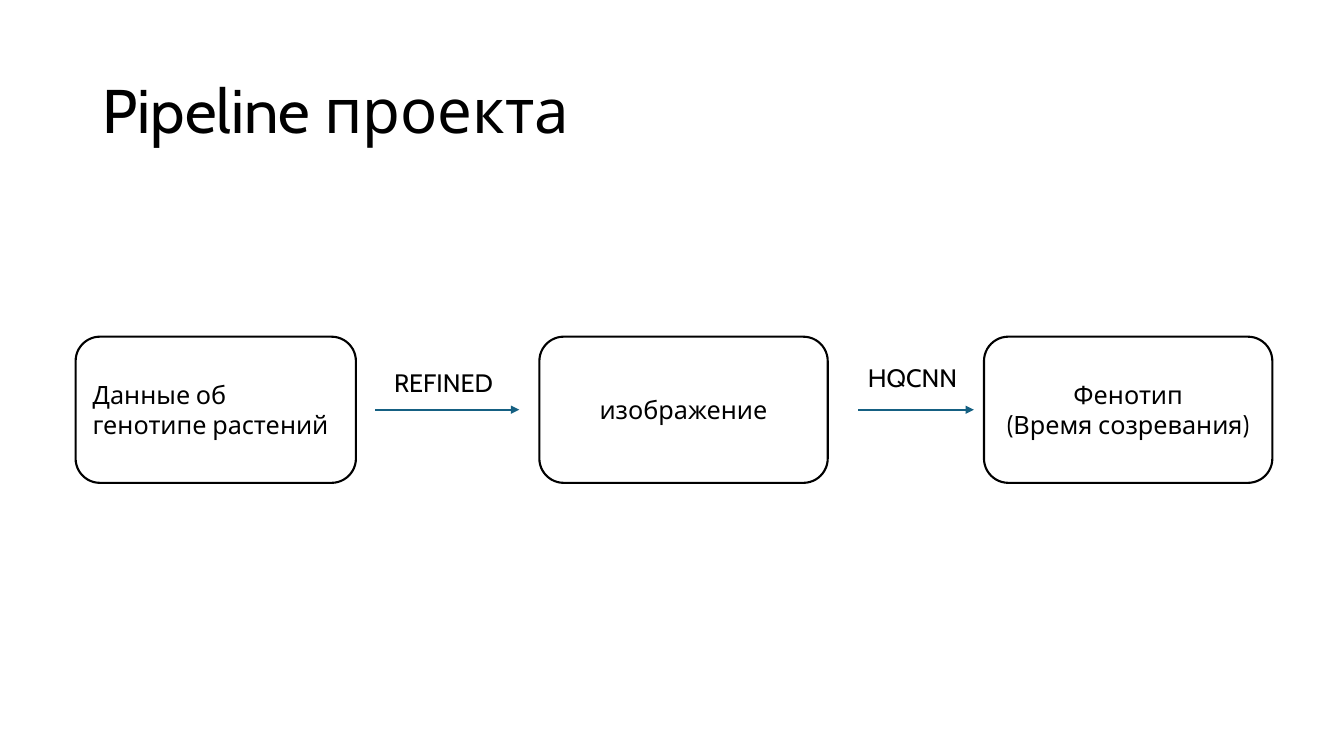
"""Build the project pipeline slide: three boxes joined by labelled arrows."""
from dataclasses import dataclass

from lxml import etree
from pptx import Presentation
from pptx.dml.color import RGBColor
from pptx.enum import shapes, text
from pptx.oxml import ns
from pptx.util import Inches, Pt


@dataclass(frozen=True)
class Theme:
    font: str = "Cabin"
    ink: str = "000000"
    paper: str = "FFFFFF"
    arrow: str = "156082"
    head: int = 44
    body: int = 18
    line: float = 1.5


LOOK = Theme()
SIZE = (13.33, 7.5)
TITLE = "Pipeline проекта"
LEFT, MID = text.PP_ALIGN.LEFT, text.PP_ALIGN.CENTER
TOP, TALL = 3.34, 1.45
AXIS = TOP + TALL / 2
STEPS = [
    (0.75, 2.78, LEFT, ["Данные об генотипе растений"]),
    (5.35, 2.86, MID, ["изображение"]),
    (9.76, 2.86, MID, ["Фенотип", "(Время созревания)"]),
]
LINKS = [
    (3.72, 5.15, "REFINED", 3.81, 3.59, 2.02),
    (8.51, 9.66, "HQCNN", 8.51, 3.55, 1.53),
]


def paint(hue):
    return RGBColor.from_string(hue)


def place(*nums):
    return [Inches(n) for n in nums]


def write(shape, lines, size=LOOK.body, align=LEFT,
          anchor=text.MSO_ANCHOR.MIDDLE, space=1.0):
    frame = shape.text_frame
    frame.word_wrap = True
    frame.vertical_anchor = anchor
    frame.text = "\n".join(lines)
    for para in frame.paragraphs:
        para.alignment = align
        para.line_spacing = space
        for run in para.runs:
            run.font.name = LOOK.font
            run.font.size = Pt(size)
            run.font.color.rgb = paint(LOOK.ink)


def stroke(shape, hue):
    shape.line.color.rgb = paint(hue)
    shape.line.width = Pt(LOOK.line)


def box(slide, left, wide, align, lines):
    shape = slide.shapes.add_shape(
        shapes.MSO_SHAPE.ROUNDED_RECTANGLE, *place(left, TOP, wide, TALL))
    shape.shadow.inherit = False
    shape.fill.solid()
    shape.fill.fore_color.rgb = paint(LOOK.paper)
    stroke(shape, LOOK.ink)
    write(shape, lines, align=align)


def link(slide, start, end, label, left, top, wide):
    arrow = slide.shapes.add_connector(
        shapes.MSO_CONNECTOR.STRAIGHT, *place(start, AXIS, end, AXIS))
    stroke(arrow, LOOK.arrow)
    etree.SubElement(arrow.line._get_or_add_ln(), ns.qn("a:tailEnd"), type="triangle")
    etree.SubElement(arrow._element.spPr, ns.qn("a:effectLst"))
    note = slide.shapes.add_textbox(*place(left, top, wide, 0.4))
    write(note, [label], anchor=text.MSO_ANCHOR.TOP)
    note.text_frame.auto_size = text.MSO_AUTO_SIZE.SHAPE_TO_FIT_TEXT


def main():
    deck = Presentation()
    deck.slide_width, deck.slide_height = place(*SIZE)
    slide = deck.slides.add_slide(deck.slide_layouts[5])
    title = slide.shapes.title
    title.left, title.top, title.width, title.height = place(0.92, 0.4, 11.5, 1.45)
    write(title, [TITLE], size=LOOK.head, space=0.9)
    for step in STEPS:
        box(slide, *step)
    for item in LINKS:
        link(slide, *item)
    deck.save("out.pptx")


if __name__ == "__main__":
    main()
